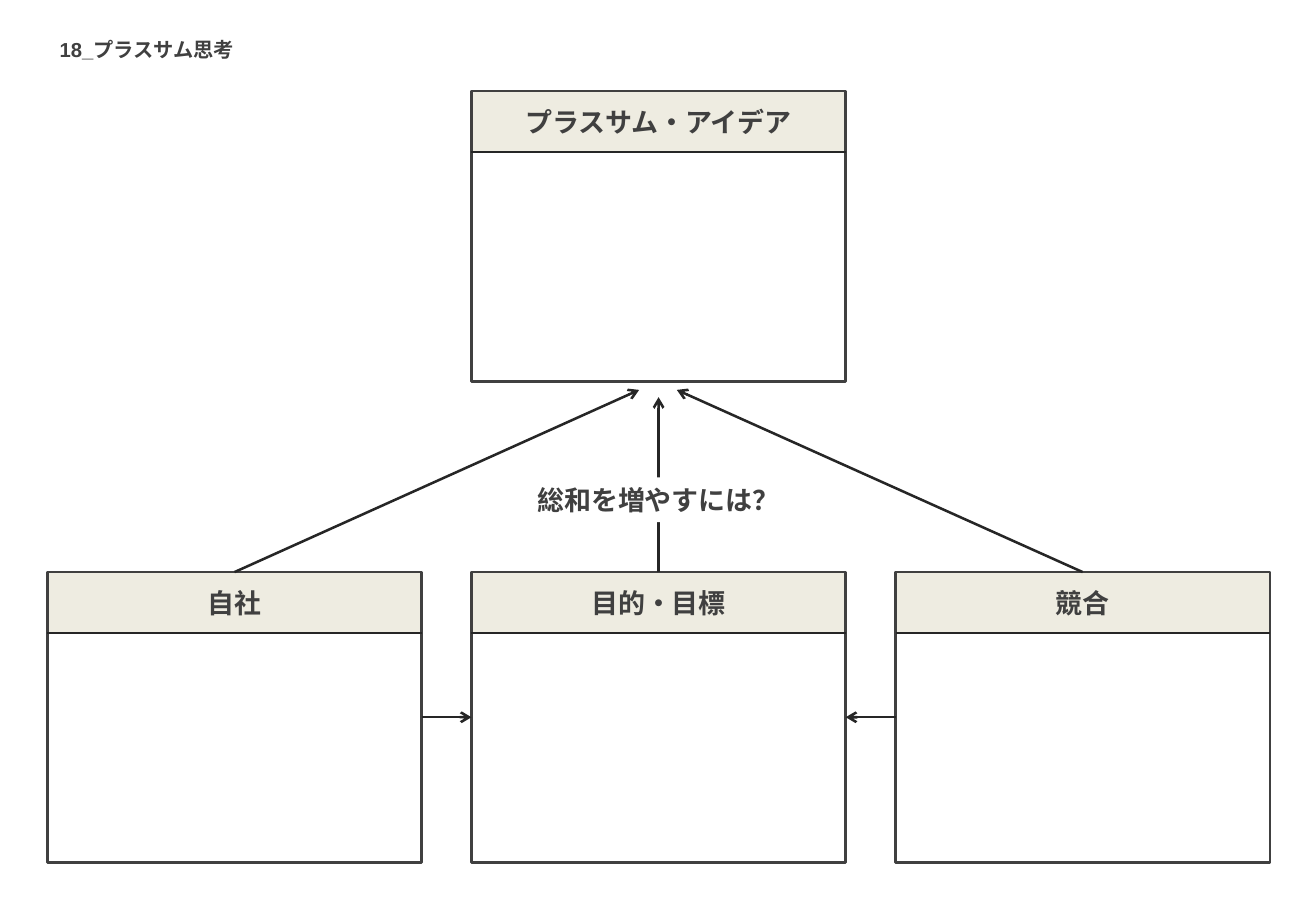
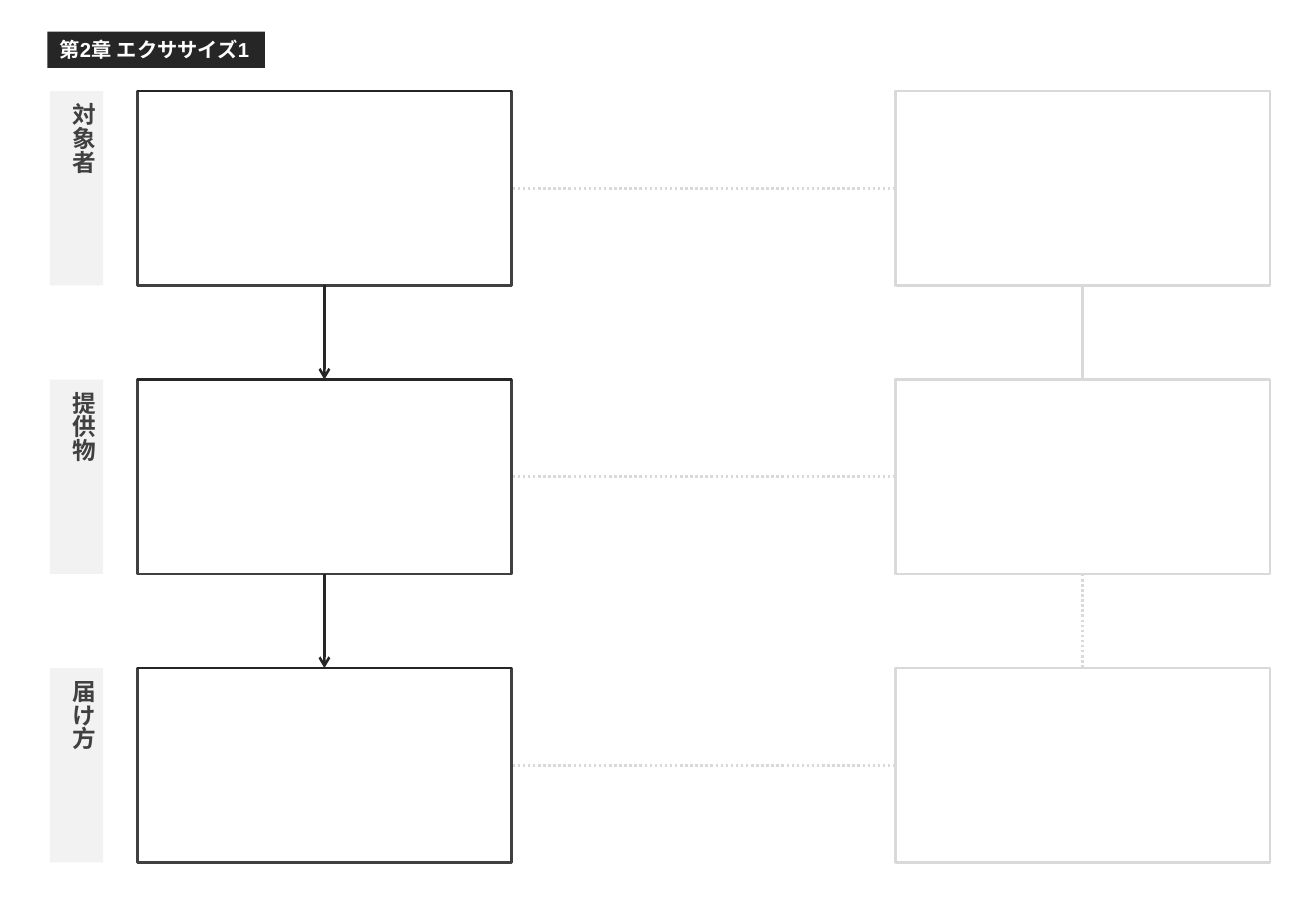
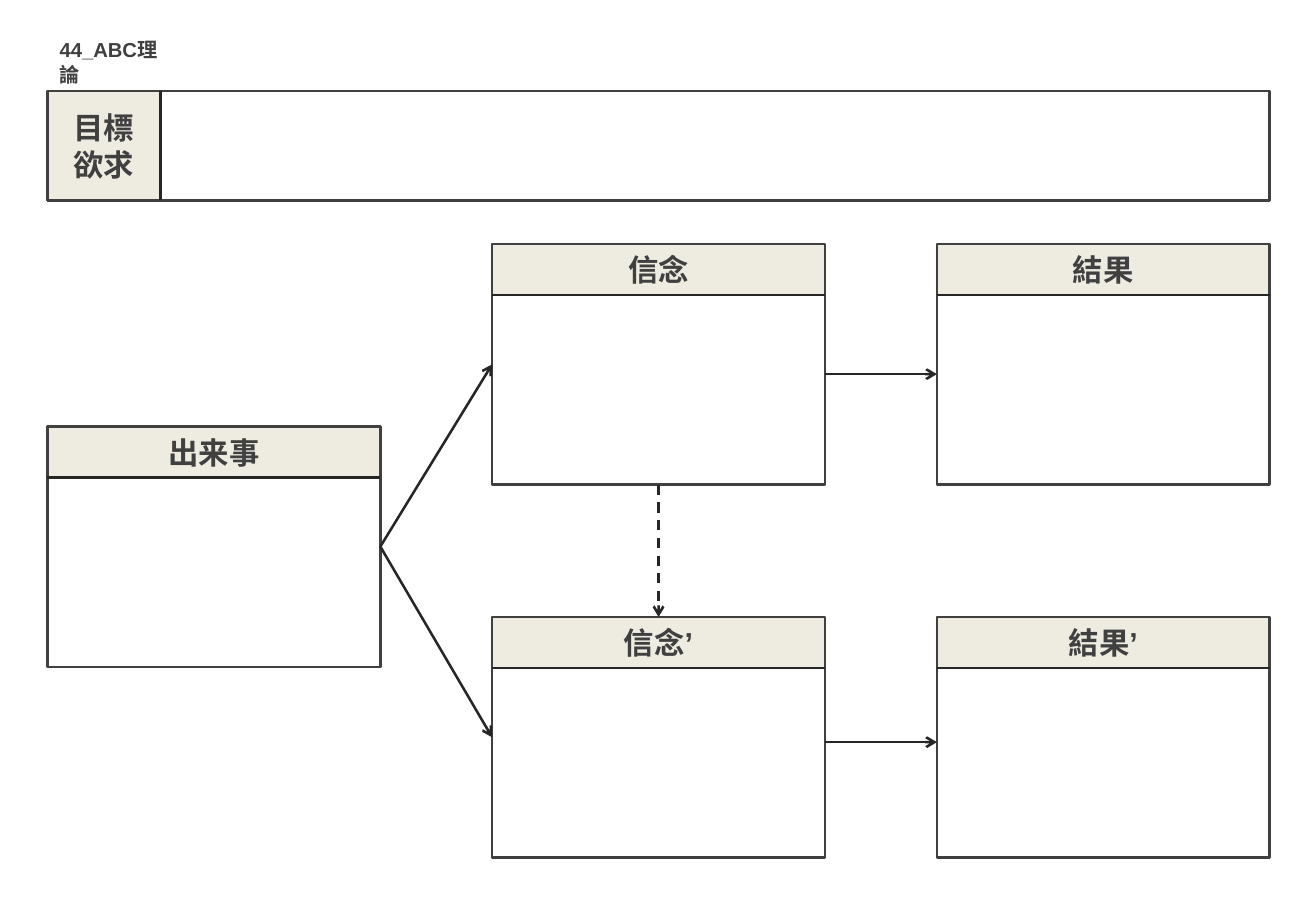
import pptx
import pptx.util
import pptx.dml.color
import pptx.enum.dml
import pptx.enum.shapes
import pptx.enum.text
import pptx.oxml
import pptx.oxml.ns
import lxml.etree

inches = pptx.util.Inches
hex_color = pptx.dml.color.RGBColor.from_string
qn = pptx.oxml.ns.qn
align = pptx.enum.text.PP_ALIGN
anchors = pptx.enum.text.MSO_ANCHOR
dashes = pptx.enum.dml.MSO_LINE

DARK, TEXT, BEIGE, LIGHT, PALE, WHITE = "262626", "404040", "EEECE1", "D9D9D9", "F2F2F2", "FFFFFF"
FONT = "Arial"
LEFT, TOP, WIDTH, HEIGHT = 0.39, 0.75, 10.06, 6.35
RIGHT = LEFT + WIDTH


def add_box(slide, left, top, width, height, text="", shape=None, fill=None, line=None,
            size=16, color=TEXT, alignment=align.CENTER, anchor=anchors.MIDDLE,
            margin=0.1, vertical=False):
    if shape is None:
        shape = slide.shapes.add_shape(pptx.enum.shapes.MSO_SHAPE.RECTANGLE, 0, 0, 0, 0)
        shape.shadow.inherit = False
    shape.left, shape.top, shape.width, shape.height = map(inches, (left, top, width, height))
    if fill:
        shape.fill.solid()
        shape.fill.fore_color.rgb = hex_color(fill)
    else:
        shape.fill.background()
    if line:
        shape.line.color.rgb = hex_color(line)
        shape.line.width = pptx.util.Pt(1.5)
    else:
        shape.line.fill.background()
    if not text:
        return
    frame = shape.text_frame
    frame.word_wrap = True
    frame.auto_size = pptx.enum.text.MSO_AUTO_SIZE.NONE
    frame.vertical_anchor = anchor
    frame.margin_left = frame.margin_right = inches(margin)
    frame.margin_top = frame.margin_bottom = inches(0.05)
    if vertical:
        frame._txBody.bodyPr.set("vert", "eaVert")
    for index, words in enumerate(text.split("\n")):
        paragraph = frame.add_paragraph() if index else frame.paragraphs[0]
        paragraph.alignment = alignment
        run = paragraph.add_run()
        run.text = words
        run.font.name = FONT
        run.font.size = pptx.util.Pt(size)
        run.font.bold = True
        run.font.color.rgb = hex_color(color)
        east_asian = lxml.etree.SubElement(run.font._element, qn("a:ea"))
        east_asian.set("typeface", FONT)


def add_line(slide, start, end, color=DARK, dash=None, arrow=False):
    connector = slide.shapes.add_connector(
        pptx.enum.shapes.MSO_CONNECTOR.STRAIGHT, *map(inches, (*start, *end)))
    connector.line.color.rgb = hex_color(color)
    connector.line.width = pptx.util.Pt(1.5)
    if dash:
        connector.line.dash_style = dash
    properties = connector._element.spPr
    if arrow:
        tail = lxml.etree.SubElement(properties.find(qn("a:ln")), qn("a:tailEnd"))
        tail.set("type", "arrow")
    lxml.etree.SubElement(properties, qn("a:effectLst"))


presentation = pptx.Presentation()
presentation.slide_width = inches(10.83)
presentation.slide_height = inches(7.5)

titles = [
    ("18_プラスサム思考", 1.64, None, TEXT),
    ("第2章 エクササイズ1", 1.79, DARK, WHITE),
    ("44_ABC理論", 1.17, None, TEXT),
]
slides = []
for title, width, fill, color in titles:
    slide = presentation.slides.add_slide(presentation.slide_layouts[5])
    add_box(slide, LEFT, 0.26, width, 0.3, title, shape=slide.shapes.title, fill=fill,
            size=12, color=color, alignment=align.LEFT, anchor=anchors.TOP)
    slides.append(slide)
plus_sum, exercise, abc_theory = slides

card_width, card_height = 3.08, 2.39
columns = [LEFT + column * (WIDTH - card_width) / 2 for column in range(3)]
card_top = TOP + HEIGHT - card_height
step_width, step_height = 2.74, 1.98
steps = [LEFT + column * (WIDTH - step_width) / 2 for column in range(3)]
upper, middle, lower = 2.01, 3.51, 5.08

plus_sum_cards = [
    ("自社", columns[0], card_top),
    ("目的・目標", columns[1], card_top),
    ("競合", columns[2], card_top),
    ("プラスサム・アイデア", columns[1], TOP),
]
abc_cards = [
    ("出来事", steps[0], middle),
    ("信念", steps[1], upper),
    ("結果", steps[2], upper),
    ("信念’", steps[1], lower),
    ("結果’", steps[2], lower),
]
for slide, cards, width, height, header, size in [
    (plus_sum, plus_sum_cards, card_width, card_height, 0.5, 16),
    (abc_theory, abc_cards, step_width, step_height, 0.42, 18),
]:
    for label, left, top in cards:
        add_box(slide, left, top, width, header, label, fill=BEIGE, size=size)
        add_box(slide, left, top, width, height, line=TEXT)
        add_line(slide, (left, top + header), (left + width, top + header))

centers = [left + card_width / 2 for left in columns]
for center, end in zip(centers, [(5.26, 3.21), (centers[1], 3.27), (5.57, 3.21)]):
    add_line(plus_sum, (center, card_top), end, arrow=True)
side = card_top + card_height / 2
add_line(plus_sum, (columns[0] + card_width, side), (columns[1], side), arrow=True)
add_line(plus_sum, (columns[2], side), (columns[1] + card_width, side), arrow=True)
add_box(plus_sum, 4.19, 3.93, 2.46, 0.37, "総和を増やすには？", fill=WHITE)

row_height = 1.6
rows = [TOP + row * (HEIGHT - row_height) / 2 for row in range(3)]
near, far = 1.13, RIGHT - card_width
for label, top in zip(["対象者", "提供物", "届け方"], rows):
    add_box(exercise, 0.41, top, 0.44, row_height, label, fill=PALE, size=14,
            alignment=align.LEFT, anchor=anchors.TOP, vertical=True)
    add_box(exercise, far, top, card_width, row_height, fill=WHITE, line=LIGHT)
    add_line(exercise, (far, top + row_height / 2), (near + card_width, top + row_height / 2),
             color=LIGHT, dash=dashes.ROUND_DOT)
    add_box(exercise, near, top, card_width, row_height, fill=WHITE, line=TEXT)
    add_line(exercise, (near, top), (near + card_width, top))
for top, below, dash in zip(rows, rows[1:], [None, dashes.ROUND_DOT]):
    near_center, far_center = near + card_width / 2, far + card_width / 2
    add_line(exercise, (near_center, top + row_height), (near_center, below), arrow=True)
    add_line(exercise, (far_center, top + row_height), (far_center, below), color=LIGHT, dash=dash)

event = (steps[0] + step_width, middle + step_height / 2)
belief_right = steps[1] + step_width
belief_center = steps[1] + step_width / 2
for start, end, dash in [
    (event, (steps[1], 3), None),
    ((belief_right, 3.08), (steps[2], 3.08), None),
    (event, (steps[1], 6.07), None),
    ((belief_right, 6.11), (steps[2], 6.11), None),
    ((belief_center, upper + step_height), (belief_center, lower), dashes.DASH),
]:
    add_line(abc_theory, start, end, dash=dash, arrow=True)

goal_width, goal_height = 0.93, 0.9
add_box(abc_theory, LEFT, TOP, goal_width, goal_height, "目標\n欲求", fill=BEIGE, size=18, margin=0)
add_box(abc_theory, LEFT, TOP, WIDTH, goal_height, line=TEXT)
add_line(abc_theory, (LEFT + goal_width, TOP), (LEFT + goal_width, TOP + goal_height))

presentation.save("out.pptx")
